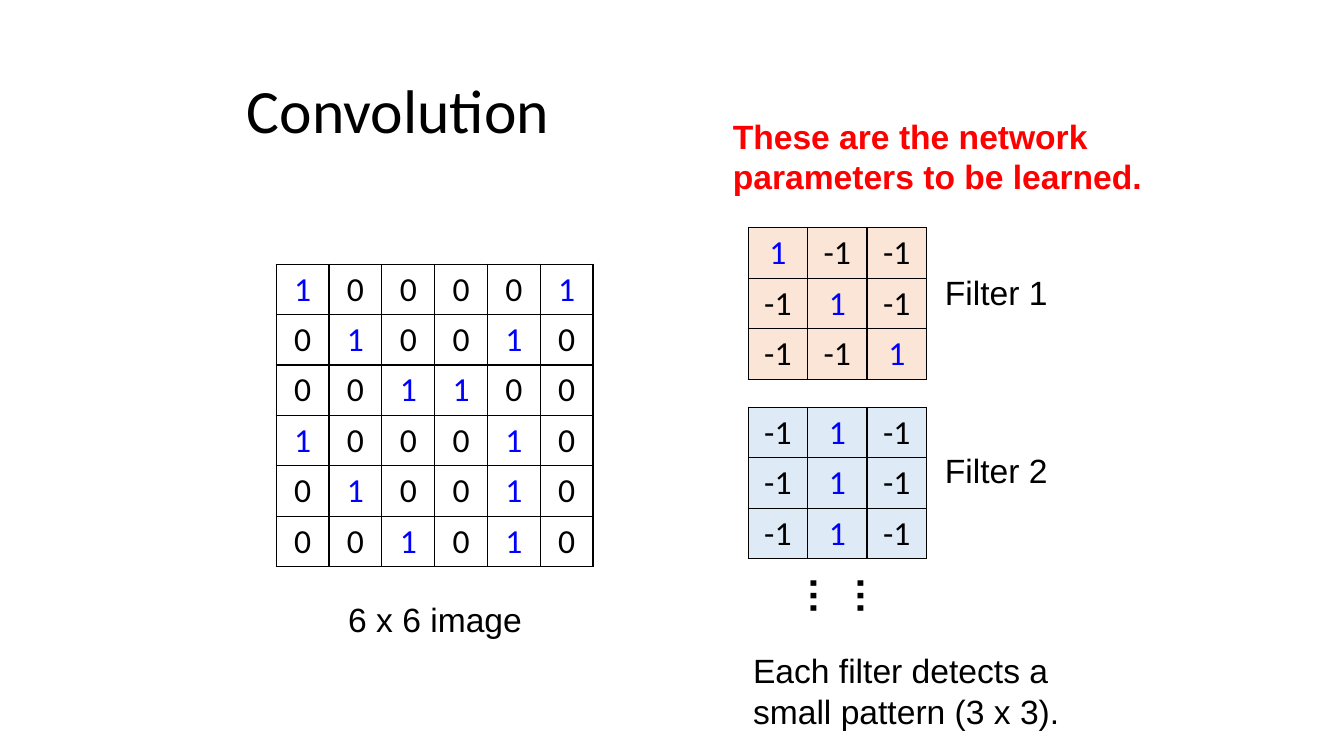
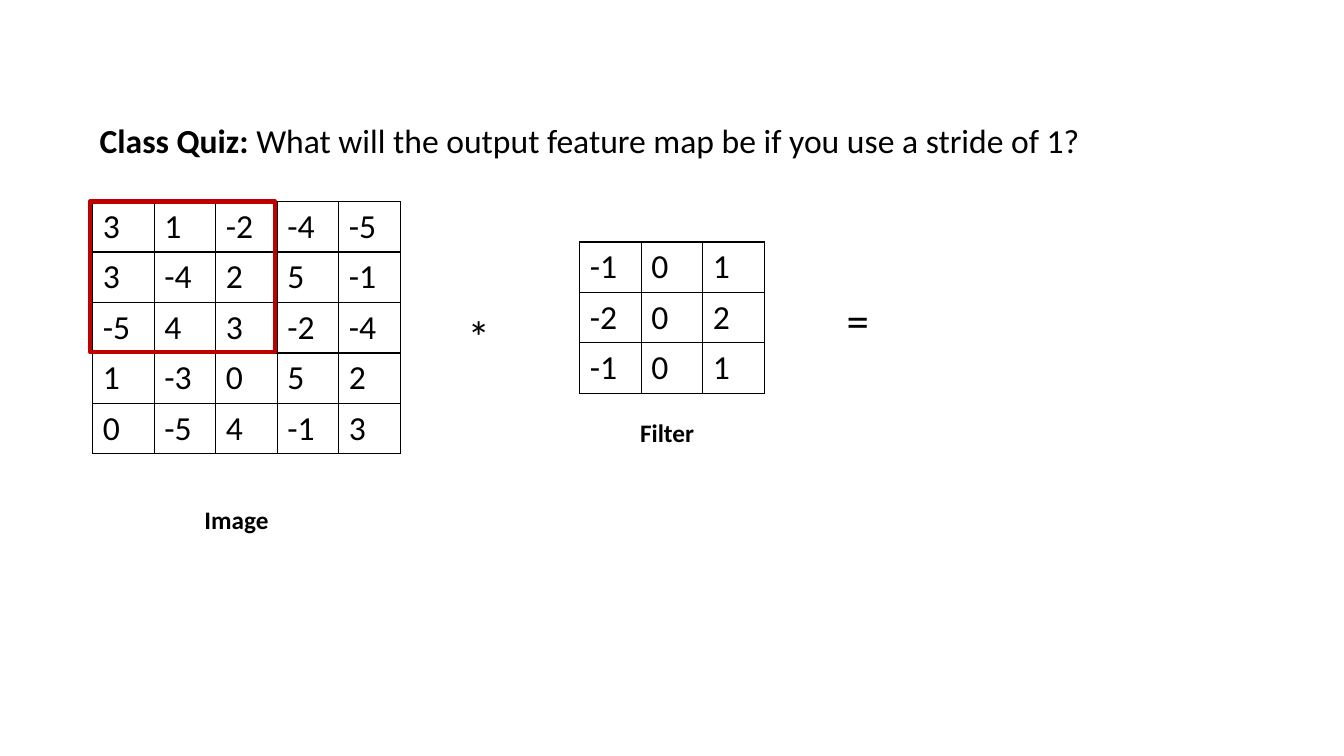
from lxml.etree import SubElement
from pptx import Presentation
from pptx.dml.color import RGBColor
from pptx.enum.shapes import MSO_SHAPE
from pptx.enum.text import MSO_ANCHOR, PP_ALIGN
from pptx.oxml.ns import qn
from pptx.util import Inches, Pt

# Shared style
BLACK, BLUE, RED, DARK_RED = "000000", "0000FF", "FF0000", "C00000"
PEACH, PALE_BLUE = "FBE5D6", "DEEBF7"
ROW_HEIGHT = 0.5
color = RGBColor.from_string


def add_text(slide, position, runs, size=24, font="Arial", fill=BLACK,
             align=PP_ALIGN.LEFT, wrap=True):
    """Add a one-paragraph text box; runs holds (text, bold) pairs."""
    shape = slide.shapes.add_textbox(*map(Inches, position))
    shape.text_frame.word_wrap = wrap
    paragraph = shape.text_frame.paragraphs[0]
    paragraph.alignment = align
    for text, bold in runs:
        run = paragraph.add_run()
        run.text = text
        run.font.size = Pt(size)
        run.font.name = font
        run.font.bold = bold
        run.font.color.rgb = color(fill)
    return shape


def add_grid(slide, left, top, column_width, rows, fill=None,
             align=PP_ALIGN.LEFT, ones=BLACK):
    """Add a bordered number table; rows are strings of spaced values."""
    values = [row.split() for row in rows]
    row_count, column_count = len(values), len(values[0])
    table = slide.shapes.add_table(
        row_count, column_count, Inches(left), Inches(top),
        Inches(column_width * column_count), Inches(ROW_HEIGHT * row_count)).table
    table.first_row = table.horz_banding = False
    for column in table.columns:
        column.width = Inches(column_width)
    for row_index, row in enumerate(values):
        for column_index, value in enumerate(row):
            cell = table.cell(row_index, column_index)
            # Cell borders come before the fill
            properties = cell._tc.get_or_add_tcPr()
            for side in ("a:lnL", "a:lnR", "a:lnT", "a:lnB"):
                line = SubElement(properties, qn(side), w=str(Pt(1)))
                solid = SubElement(line, qn("a:solidFill"))
                SubElement(solid, qn("a:srgbClr"), val=BLACK)
            if fill:
                cell.fill.solid()
                cell.fill.fore_color.rgb = color(fill)
            else:
                cell.fill.background()
            paragraph = cell.text_frame.paragraphs[0]
            paragraph.alignment = align
            run = paragraph.add_run()
            run.text = value
            run.font.size = Pt(24)
            run.font.name = "Calibri"
            run.font.color.rgb = color(ones if value == "1" else BLACK)


presentation = Presentation()
presentation.slide_width = Inches(13.33)
presentation.slide_height = Inches(7.5)
blank_layout = presentation.slide_layouts[6]

# Slide 1: image and filters
slide = presentation.slides.add_slide(blank_layout)
title = add_text(slide, (2.35, 0.4, 8.62, 1.45), [("Convolution", False)],
                 size=44, font="Calibri")
title.text_frame.vertical_anchor = MSO_ANCHOR.MIDDLE
title.text_frame.paragraphs[0].line_spacing = 0.9

image_rows = ["1 0 0 0 0 1", "0 1 0 0 1 0", "0 0 1 1 0 0",
              "1 0 0 0 1 0", "0 1 0 0 1 0", "0 0 1 0 1 0"]
add_grid(slide, 2.74, 2.62, 0.524, image_rows, align=PP_ALIGN.CENTER, ones=BLUE)
add_text(slide, (3.03, 5.89, 2.57, 0.5), [("6 x 6 image", False)],
         align=PP_ALIGN.CENTER)

filters = [
    ("Filter 1", 2.26, 2.65, PEACH, ["1 -1 -1", "-1 1 -1", "-1 -1 1"]),
    ("Filter 2", 4.04, 4.41, PALE_BLUE, ["-1 1 -1"] * 3),
]
for name, grid_top, label_top, fill, rows in filters:
    add_grid(slide, 7.42, grid_top, 0.59, rows, fill, PP_ALIGN.CENTER, BLUE)
    add_text(slide, (9.09, label_top, 1.58, 0.51), [(name, False)],
             align=PP_ALIGN.CENTER)

more_filters = add_text(slide, (8.04, 5.49, 0.77, 1.04), [("……", True)], size=28)
more_filters.rotation = 90

# Slide 1: remarks
add_text(slide, (7.17, 1.1, 4.33, 0.91),
         [("These are the network parameters to be learned.", True)], fill=RED)
add_text(slide, (7.37, 6.4, 3.89, 0.91),
         [("Each filter detects a small pattern (3 x 3).", False)])

# Slide 2: quiz
slide = presentation.slides.add_slide(blank_layout)
image_rows = ["3 1 -2 -4 -5", "3 -4 2 5 -1", "-5 4 3 -2 -4",
              "1 -3 0 5 2", "0 -5 4 -1 3"]
add_grid(slide, 0.92, 2, 0.61, image_rows)
add_grid(slide, 5.75, 2.4, 0.61, ["-1 0 1", "-2 0 2", "-1 0 1"])

# Slide 2: first filter position
window = slide.shapes.add_shape(MSO_SHAPE.RECTANGLE, Inches(0.89), Inches(2),
                                Inches(1.84), Inches(1.49))
window.shadow.inherit = False
window.fill.background()
window.line.color.rgb = color(DARK_RED)
window.line.width = Pt(3)

# Slide 2: question, operators and captions
quiz_texts = [
    ((4.54, 3.01, 0.43, 0.64), 32, [("*", False)]),
    ((8.3, 2.85, 0.43, 0.64), 32, [("=", False)]),
    ((0.89, 1.14, 10.01, 0.5), 24,
     [("Class Quiz: ", True),
      ("What will the output feature map be if you use a stride of 1?", False)]),
    ((1.93, 4.95, 0.84, 0.4), 18, [("Image", True)]),
    ((6.25, 4.09, 0.74, 0.4), 18, [("Filter", True)]),
]
for position, size, runs in quiz_texts:
    add_text(slide, position, runs, size, "Calibri", wrap=False)

presentation.save("out.pptx")
